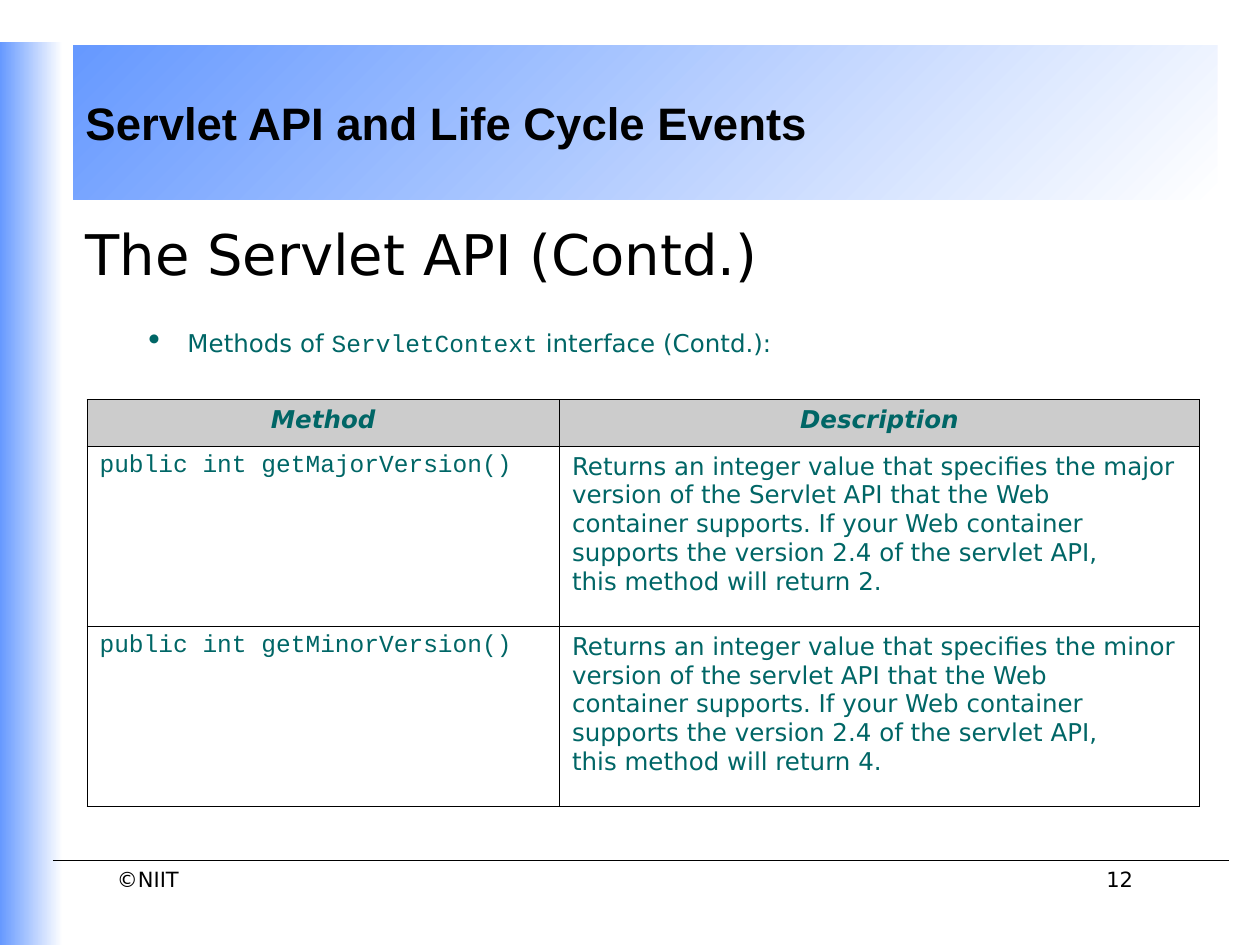
from dataclasses import dataclass

from lxml import etree
from pptx import Presentation
from pptx.dml.color import RGBColor
from pptx.enum.shapes import MSO_CONNECTOR, MSO_SHAPE
from pptx.enum.text import MSO_ANCHOR, PP_ALIGN
from pptx.oxml.ns import qn
from pptx.util import Inches, Pt

RECT = MSO_SHAPE.RECTANGLE
STRAIGHT = MSO_CONNECTOR.STRAIGHT
MIDDLE = MSO_ANCHOR.MIDDLE
LEFT, CENTER, RIGHT = PP_ALIGN.LEFT, PP_ALIGN.CENTER, PP_ALIGN.RIGHT


@dataclass(frozen=True)
class Theme:
    black: str = "000000"
    white: str = "FFFFFF"
    blue: str = "6699FF"
    teal: str = "006666"
    grey: str = "CCCCCC"
    sans: str = "DejaVu Sans"
    mono: str = "Courier New"
    title_font: str = "Arial"
    title: float = 26
    heading: float = 32
    body: float = 14
    footer: float = 12
    rule: float = 0.75
    border: float = 0.45


T = Theme()

# Content
TITLE = "Servlet API and Life Cycle Events"
HEADING = "The Servlet API (Contd.)"
BULLET = [("Methods of ", T.sans), ("ServletContext", T.mono),
          (" interface (Contd.):", T.sans)]
HEADERS = ["Method", "Description"]
METHODS = [
    ("public int getMajorVersion()", [
        "Returns an integer value that specifies the major",
        "version of the Servlet API that the Web",
        "container supports. If your Web container",
        "supports the version 2.4 of the servlet API,",
        "this method will return 2.",
    ]),
    ("public int getMinorVersion()", [
        "Returns an integer value that specifies the minor",
        "version of the servlet API that the Web",
        "container supports. If your Web container",
        "supports the version 2.4 of the servlet API,",
        "this method will return 4.",
    ]),
]
COPYRIGHT = "©NIIT"
PAGE = "12"

# Layout in inches
COL_WIDTHS = [3.75, 5.08]
ROW_HEIGHTS = [0.37] + [1.43] * len(METHODS)
FOOTER_TOP = 6.83


def rgb(color):
    return RGBColor.from_string(color)


def write(p, text, font=T.sans, size=T.body, color=T.teal, bold=False,
          italic=False, align=LEFT):
    """Add one formatted run to a paragraph."""
    p.alignment = align
    r = p.add_run()
    r.text = text
    r.font.name, r.font.size = font, Pt(size)
    r.font.bold, r.font.italic = bold, italic
    r.font.color.rgb = rgb(color)


def add_box(s, *box):
    tf = s.shapes.add_textbox(*map(Inches, box)).text_frame
    tf.word_wrap = True
    return tf


def add_gradient(s, box, angle):
    sp = s.shapes.add_shape(RECT, *map(Inches, box))
    sp.shadow.inherit = False
    sp.line.fill.background()
    sp.fill.gradient()
    sp.fill.gradient_angle = angle
    for stop, color in zip(sp.fill.gradient_stops, (T.white, T.blue)):
        stop.color.rgb = rgb(color)
    return sp


def set_bullet(p, char, color, percent, margin, hang):
    pPr = p._p.get_or_add_pPr()
    pPr.set("marL", str(Inches(margin)))
    pPr.set("indent", str(-Inches(hang)))
    clr = etree.SubElement(pPr, qn("a:buClr"))
    etree.SubElement(clr, qn("a:srgbClr"), val=color)
    etree.SubElement(pPr, qn("a:buSzPct"), val=str(percent * 1000))
    etree.SubElement(pPr, qn("a:buChar"), char=char)


def format_cell(cell, fill=None):
    tcPr = cell._tc.get_or_add_tcPr()
    for side in ("lnL", "lnR", "lnT", "lnB"):
        ln = etree.SubElement(tcPr, qn("a:" + side), w=str(Pt(T.border)))
        solid = etree.SubElement(ln, qn("a:solidFill"))
        etree.SubElement(solid, qn("a:srgbClr"), val=T.black)
    if fill:
        cell.fill.solid()
        cell.fill.fore_color.rgb = rgb(fill)
    else:
        cell.fill.background()


def add_methods_table(s):
    frame = s.shapes.add_table(
        len(ROW_HEIGHTS), len(COL_WIDTHS), Inches(0.69), Inches(3.17),
        Inches(sum(COL_WIDTHS)), Inches(sum(ROW_HEIGHTS)))
    table = frame.table
    for col, width in zip(table.columns, COL_WIDTHS):
        col.width = Inches(width)
    for row, height in zip(table.rows, ROW_HEIGHTS):
        row.height = Inches(height)

    # Header row
    for c, text in enumerate(HEADERS):
        cell = table.cell(0, c)
        format_cell(cell, T.grey)
        write(cell.text_frame.paragraphs[0], text, bold=True, italic=True,
              align=CENTER)

    # One row per method, with fixed lines in the description
    for i, (method, lines) in enumerate(METHODS, start=1):
        for c, (texts, font) in enumerate([([method], T.mono), (lines, T.sans)]):
            cell = table.cell(i, c)
            format_cell(cell)
            tf = cell.text_frame
            for n, text in enumerate(texts):
                p = tf.add_paragraph() if n else tf.paragraphs[0]
                write(p, text, font=font)


def main():
    prs = Presentation()
    prs.slide_width, prs.slide_height = Inches(10), Inches(7.5)
    s = prs.slides.add_slide(prs.slide_layouts[6])

    # Title band and side bar
    band = add_gradient(s, (0.58, 0.36, 9.08, 1.22), 135)
    tf = band.text_frame
    tf.word_wrap = False
    tf.vertical_anchor = MIDDLE
    write(tf.paragraphs[0], TITLE, font=T.title_font, size=T.title,
          color=T.black, bold=True)
    add_gradient(s, (0, 0.33, 0.5, 7.17), 180)

    # Heading and bullet
    tf = add_box(s, 0.58, 1.69, 8.83, 1.4)
    write(tf.paragraphs[0], HEADING, size=T.heading, color=T.black)
    p = tf.add_paragraph()
    p.space_before = Pt(24)
    set_bullet(p, "•", T.teal, 140, margin=0.81, hang=0.31)
    for text, font in BULLET:
        write(p, text, font=font)

    add_methods_table(s)

    # Footer
    rule = s.shapes.add_connector(STRAIGHT, Inches(0.42), Inches(FOOTER_TOP),
                                  Inches(9.75), Inches(FOOTER_TOP))
    rule.line.color.rgb = rgb(T.black)
    rule.line.width = Pt(T.rule)
    etree.SubElement(rule._element.spPr, qn("a:effectLst"))
    for text, left, width, align in [(COPYRIGHT, 0.83, 2.25, LEFT),
                                     (PAGE, 6.67, 2.42, RIGHT)]:
        tf = add_box(s, left, FOOTER_TOP, width, 0.42)
        write(tf.paragraphs[0], text, size=T.footer, color=T.black, align=align)

    prs.save("out.pptx")


if __name__ == "__main__":
    main()
